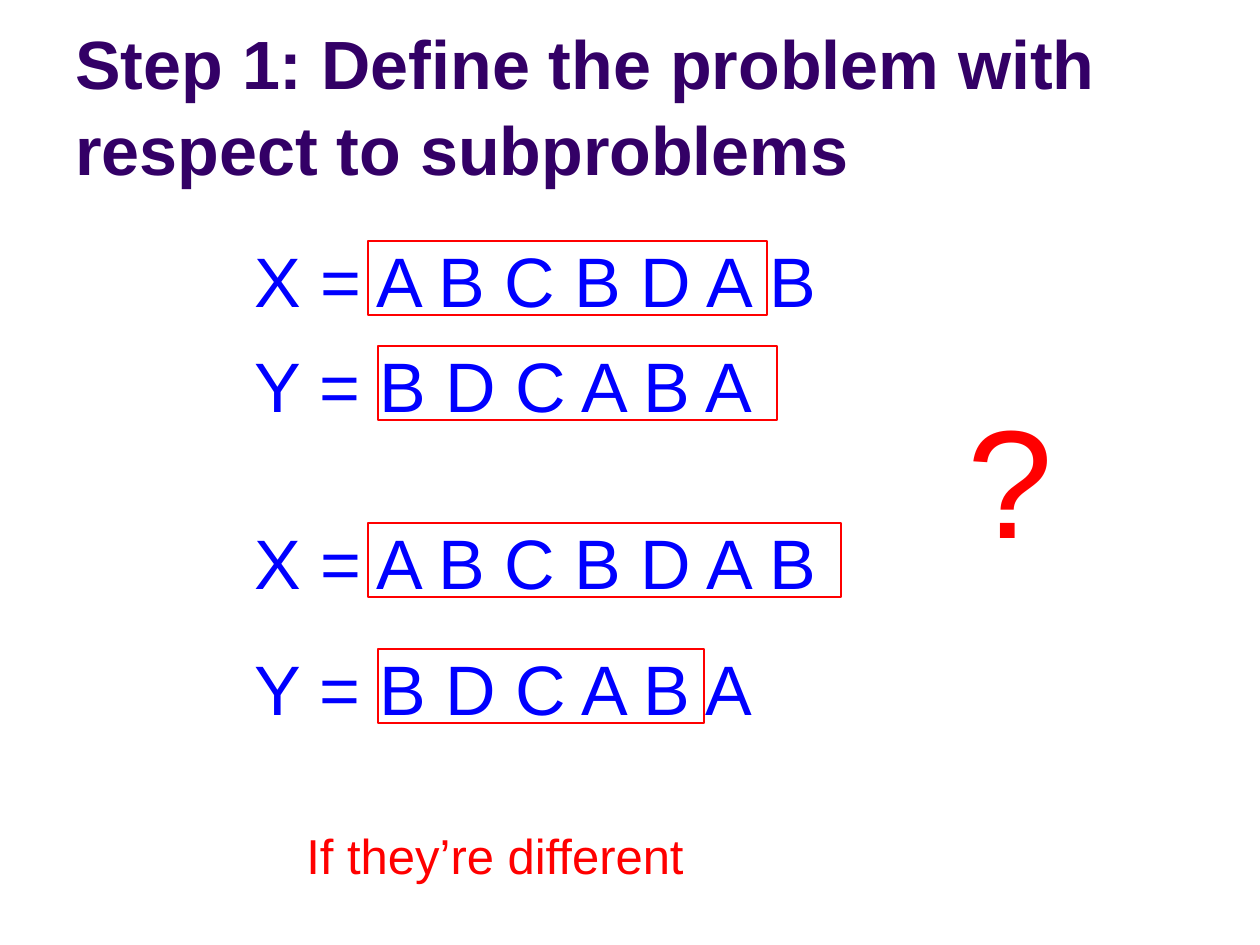
"""Build the slide that defines the subproblems of two sequences."""
from pptx import Presentation
from pptx.dml.color import RGBColor
from pptx.enum.shapes import MSO_SHAPE as Shape
from pptx.enum.text import MSO_ANCHOR as Anchor
from pptx.util import Pt

PX = 914400 // 126
COLORS = {"title": "330066", "letter": "0000FF", "mark": "FF0000"}
X = "X = A B C B D A B"
Y = "Y = B D C A B A"

TITLE = ("Step 1: Define the problem with respect to subproblems",
         (63, 16, 1134, 179), 39, "title")
NOTES = [
    ("If they’re different", (294, 819, 451, 72), 28, "mark"),
    ("?", (955, 378, 252, 198), 88, "mark"),
]
ROWS = [
    (X, 231, 368, 399),
    (Y, 336, 378, 399),
    (X, 513, 368, 473),
    (Y, 639, 378, 326),
]
LEFT, WIDE, HIGH = 242, 651, 97
DROP, FRAME = 10, 74


def scale(box):
    return [n * PX for n in box]


def color(name):
    return RGBColor.from_string(COLORS[name])


def add_text(slide, text, box, size, name):
    frame = slide.shapes.add_textbox(*scale(box)).text_frame
    frame.word_wrap = True
    para = frame.paragraphs[0]
    para.text = text
    para.font.name = "Arial"
    para.font.size = Pt(size)
    para.font.color.rgb = color(name)
    return frame


def add_frame(slide, box):
    rect = slide.shapes.add_shape(Shape.RECTANGLE, *scale(box))
    rect.shadow.inherit = False
    rect.fill.background()
    rect.line.color.rgb = color("mark")
    rect.line.width = Pt(0.75)


def main():
    deck = Presentation()
    deck.slide_width, deck.slide_height = scale((1260, 945))
    slide = deck.slides.add_slide(deck.slide_layouts[6])

    title = add_text(slide, *TITLE)
    title.vertical_anchor = Anchor.BOTTOM
    title.paragraphs[0].font.bold = True
    title.paragraphs[0].line_spacing = 1.05

    for text, top, left, width in ROWS:
        add_text(slide, text, (LEFT, top, WIDE, HIGH), 40, "letter")
        add_frame(slide, (left, top + DROP, width, FRAME))
    for note in NOTES:
        add_text(slide, *note)

    deck.save("out.pptx")


if __name__ == "__main__":
    main()
